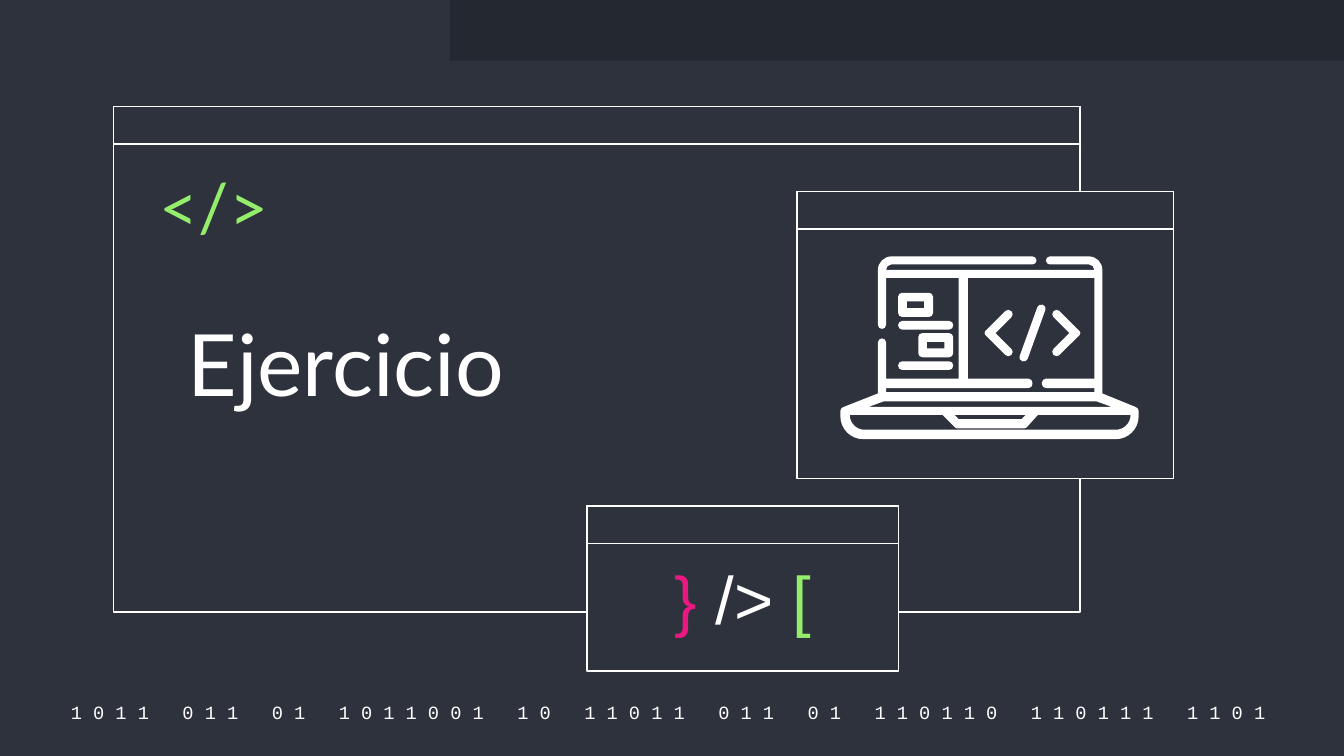
from dataclasses import dataclass

from lxml.etree import SubElement
from pptx import Presentation
from pptx.dml.color import RGBColor
from pptx.enum.shapes import MSO_SHAPE
from pptx.enum.text import MSO_ANCHOR, MSO_AUTO_SIZE, PP_ALIGN
from pptx.oxml.ns import qn
from pptx.util import Pt


@dataclass(frozen=True)
class Theme:
    back: str = "2D323C"
    band: str = "242830"
    white: str = "FFFFFF"
    green: str = "94EE6B"
    pink: str = "E81981"
    sans: str = "Lato"
    sign: str = "Arial"
    mono: str = "Courier New"
    head: float = 46
    code: float = 36
    bits: float = 10
    step: float = 5.98
    line: float = 0.75
    pad: float = 7.2
    bar: float = 20.2


THEME = Theme()


def paint(shape, fill, line=None):
    shape.shadow.inherit = False
    shape.fill.solid()
    shape.fill.fore_color.rgb = RGBColor.from_string(fill)
    if line:
        shape.line.color.rgb = RGBColor.from_string(line)
        shape.line.width = Pt(THEME.line)
    else:
        shape.line.fill.background()


def add_rect(shapes, box, fill, line=None):
    rect = shapes.add_shape(MSO_SHAPE.RECTANGLE, *map(Pt, box))
    paint(rect, fill, line)


def set_frame(shape, align, anchor):
    frame = shape.text_frame
    frame.word_wrap = True
    frame.auto_size = MSO_AUTO_SIZE.NONE
    frame.vertical_anchor = anchor
    frame.margin_left = frame.margin_right = Pt(THEME.pad)
    frame.margin_top = frame.margin_bottom = Pt(THEME.pad)
    para = frame.paragraphs[0]
    para.alignment = align
    return para


def add_run(para, text, size, font, color):
    run = para.add_run()
    run.text = text
    run.font.size = Pt(size)
    run.font.name = font
    run.font.color.rgb = RGBColor.from_string(color)


def add_code(slide, box, align, font, parts):
    shape = slide.shapes.add_textbox(*map(Pt, box))
    para = set_frame(shape, align, MSO_ANCHOR.TOP)
    para.line_spacing = 0.9
    for text, color in parts:
        add_run(para, text, THEME.code, font, color)


def add_window(slide, box):
    """Outlined window with a title bar."""
    left, top, width, _ = box
    group = slide.shapes.add_group_shape()
    for part in (box, (left, top, width, THEME.bar)):
        add_rect(group.shapes, part, THEME.back, THEME.white)


def add_title(slide, box, text):
    title = slide.shapes.title
    title.left, title.top, title.width, title.height = map(Pt, box)
    para = set_frame(title, PP_ALIGN.JUSTIFY, MSO_ANCHOR.MIDDLE)
    add_run(para, text, THEME.head, THEME.sans, THEME.white)
    # Bring the title in front of the windows
    title.element.getparent().append(title.element)


def add_bits(slide, box, words):
    """Row of spaced digits; each group starts at a tab stop."""
    shape = slide.shapes.add_textbox(*map(Pt, box))
    para = set_frame(shape, PP_ALIGN.LEFT, MSO_ANCHOR.MIDDLE)
    tabs = SubElement(para._p.get_or_add_pPr(), qn("a:tabLst"))
    stop = 0
    for word in words[:-1]:
        stop += (2 * len(word) + 2) * THEME.step
        SubElement(tabs, qn("a:tab"), pos=str(Pt(stop)), algn="l")
    text = "\t".join(" ".join(word) for word in words)
    add_run(para, text, THEME.bits, THEME.mono, THEME.white)


# Icon geometry: corners are (x, y) or (x, y, cut), with cut the rounding

def bend(corners):
    """List (x, y, curved) points; three curved ones form one Bezier."""
    points = []
    for i, (x, y, *cut) in enumerate(corners):
        if not cut:
            points.append((x, y, False))
            continue
        ends = []
        for near in (corners[i - 1], corners[(i + 1) % len(corners)]):
            dx, dy = near[0] - x, near[1] - y
            part = cut[0] / (dx * dx + dy * dy) ** 0.5
            ends.append((dx * part, dy * part))
        (ax, ay), (bx, by) = ends
        points += [(x + ax, y + ay, False),
                   (x + 0.45 * ax, y + 0.45 * ay, True),
                   (x + 0.45 * bx, y + 0.45 * by, True),
                   (x + bx, y + by, True)]
    return points


def curve(shape, flags):
    """Join each three flagged line ends into one Bezier."""
    nodes = [node for tag in shape.element.iter(qn("a:path"))
             for node in tag if node.tag != qn("a:close")]
    marked = [node for node, flag in zip(nodes, flags) if flag]
    for first, second, third in zip(*[iter(marked)] * 3):
        first.tag = qn("a:cubicBezTo")
        for node in (second, third):
            first.append(node[0])
            node.getparent().remove(node)


def block(x, y, w, h, cut=0):
    ends = [(x, y), (x + w, y), (x + w, y + h), (x, y + h)]
    return [(*end, cut) for end in ends] if cut else ends


def add_laptop(slide, box):
    """Laptop icon drawn on a grid 222 units wide."""
    left, top, width, _ = box
    unit = width / 222
    shell = [
        (28, 0, 10), (28, 54, 3), (34, 54, 3), (34, 16), (88, 16), (88, 91),
        (34, 91), (34, 61, 3), (28, 61, 3), (28, 102), (0, 113, 2),
        (0, 136, 17), (222, 136, 17), (222, 113, 2), (195, 102),
        (195, 0, 10), (153, 0, 3), (153, 6, 3), (189, 6, 4), (189, 10),
        (34, 10), (34, 6, 4), (146, 6, 3), (146, 0, 3)]
    pane = [
        (189, 16), (189, 91), (150, 91, 3), (150, 98, 3), (189, 98),
        (189, 101), (34, 101), (34, 98), (143, 98, 3), (143, 91, 3),
        (95, 91), (95, 16)]
    hinge = [(191, 108), (202, 112), (21, 112), (32, 108)]
    notch = [(138, 118), (135, 121), (88, 121), (85, 118)]
    base = [
        (216, 118), (216, 129, 11), (7, 129, 11), (7, 118), (76, 118),
        (86, 128, 1), (138, 128, 1), (147, 118)]
    arrow = [
        (125, 38.5, 3), (106.5, 57, 2), (125, 75.5, 3), (129.5, 71, 3),
        (115.5, 57), (129.5, 43, 3)]
    mirror = [(286 - x, *rest) for x, *rest in arrow]
    slash = [(147.6, 35, 3), (132.4, 77, 3), (138.4, 79, 3), (153.6, 37, 3)]
    tiles = [[block(x, y, 26, 18, 3), block(x + 6.5, y + 6.5, 13, 5)]
             for x, y in ((43, 27), (58, 57))]
    bars = [[block(43, y, 41, 6.4, 3)] for y in (48, 78)]

    group = slide.shapes.add_group_shape()
    for outline in ([shell, pane, hinge, notch, base], *tiles, *bars,
                    [arrow], [mirror], [slash]):
        bent = [bend(loop) for loop in outline]
        loops = [[(Pt(left + x * unit), Pt(top + y * unit))
                  for x, y, _ in loop] for loop in bent]
        pen = group.shapes.build_freeform(*loops[0][0])
        for i, loop in enumerate(loops):
            if i:
                pen.move_to(*loop[0])
            pen.add_line_segments(loop[1:], close=True)
        shape = pen.convert_to_shape()
        curve(shape, [flag for loop in bent for *_, flag in loop])
        paint(shape, THEME.white)


def main():
    deck = Presentation()
    deck.slide_width, deck.slide_height = Pt(720), Pt(405)
    slide = deck.slides.add_slide(deck.slide_layouts[5])
    slide.background.fill.solid()
    slide.background.fill.fore_color.rgb = RGBColor.from_string(THEME.back)
    # Backdrop
    words = "1011 011 01 1011001 10 11011 011 01 110110 110111 1101".split()
    add_bits(slide, (30.9, 374.5, 667, 14.4), words)
    add_rect(slide.shapes, (241, 0, 479, 32.5), THEME.band)
    # Windows
    for box in ((60.7, 57, 518, 270.9), (314.5, 271.1, 167, 88.5),
                (427, 102.5, 201.7, 153.8)):
        add_window(slide, box)
    # Contents
    add_title(slide, (93.4, 150.2, 321.8, 87.8), "Ejercicio")
    add_code(slide, (65.8, 86.4, 85, 44.6), PP_ALIGN.RIGHT, THEME.sans,
             [("</>", THEME.green)])
    add_code(slide, (350, 296.4, 95.8, 59), PP_ALIGN.CENTER, THEME.sign,
             [("}", THEME.pink), (" /> ", THEME.white), ("[", THEME.green)])
    add_laptop(slide, (450.2, 137.4, 159.8, 98))
    deck.save("out.pptx")


if __name__ == "__main__":
    main()
